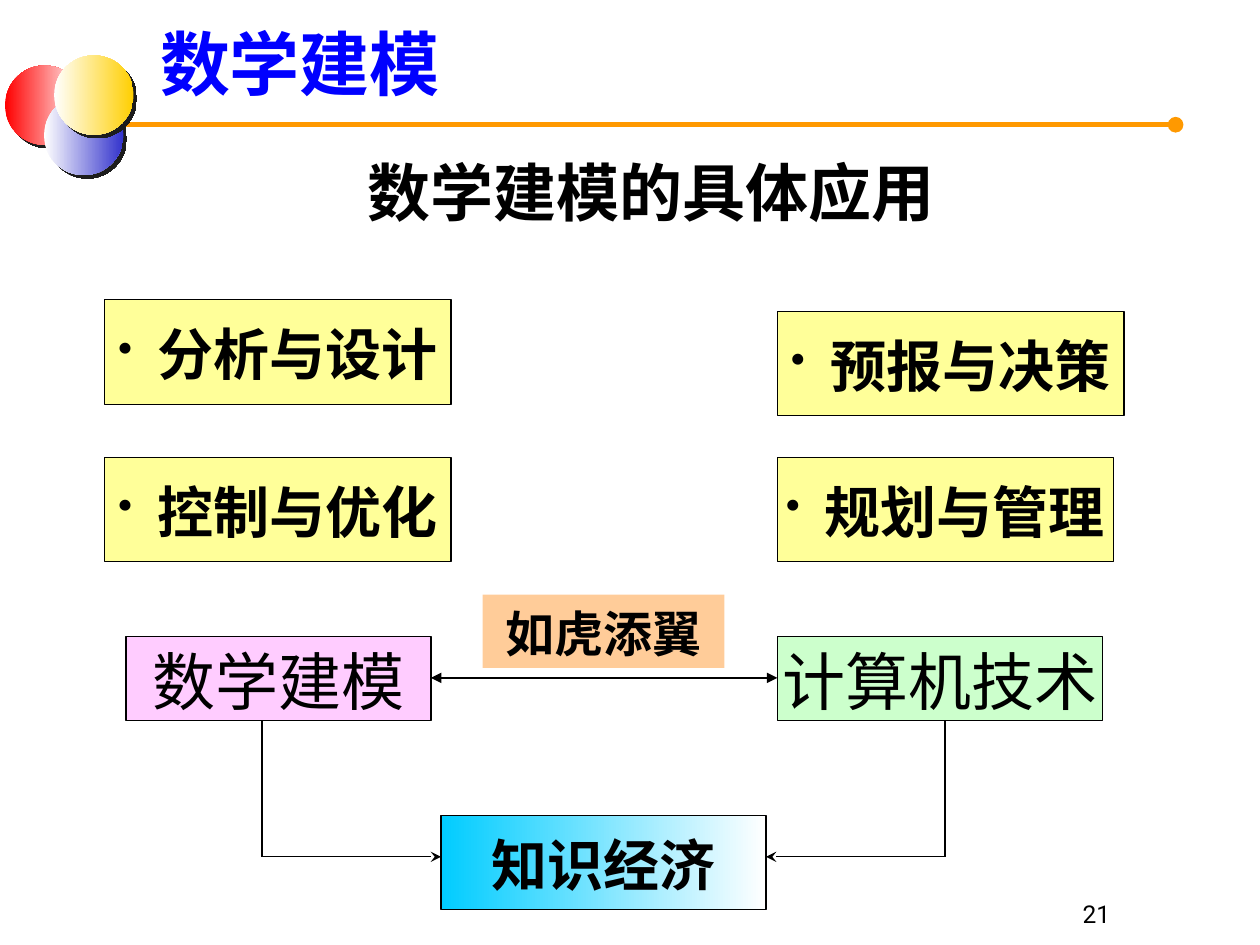
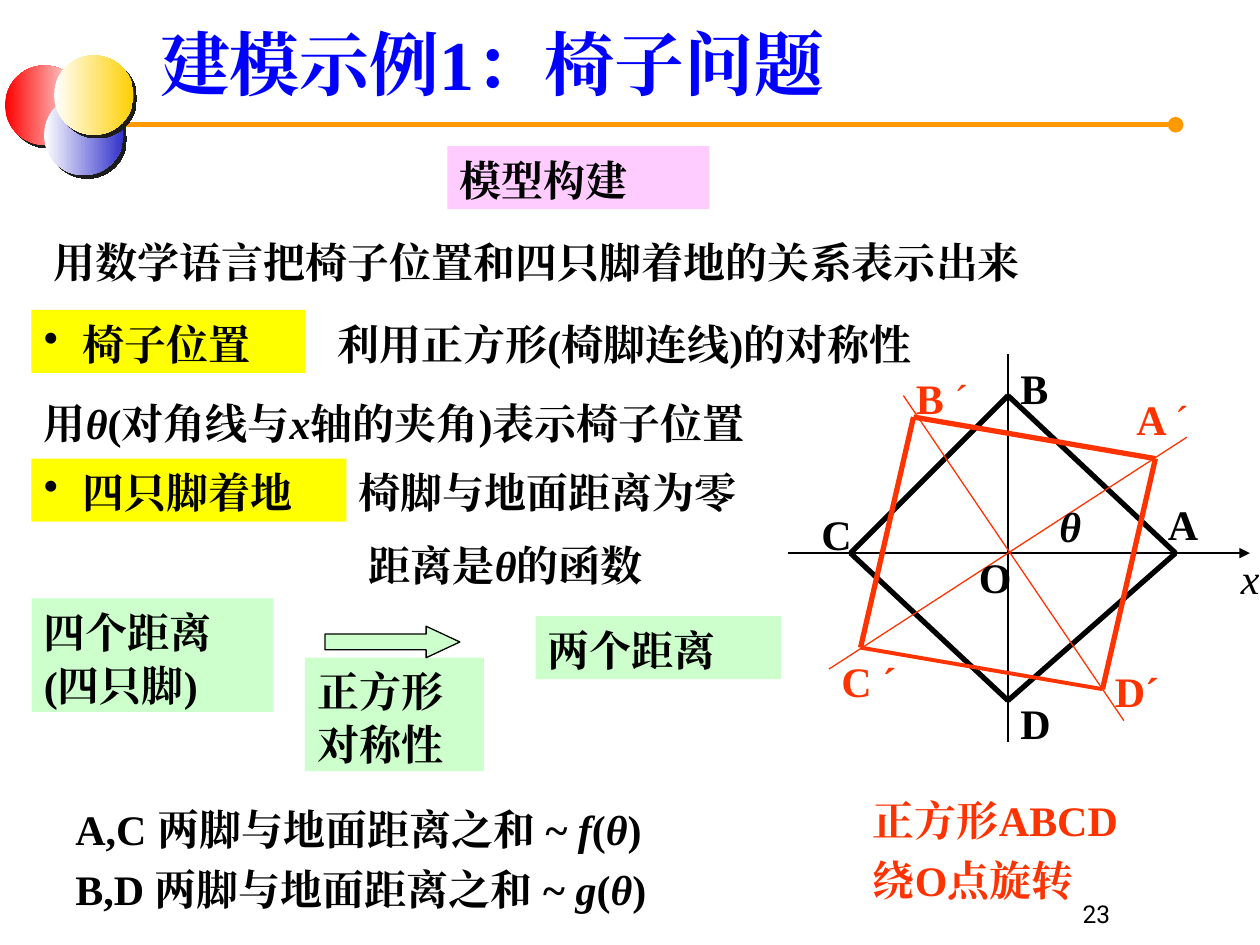
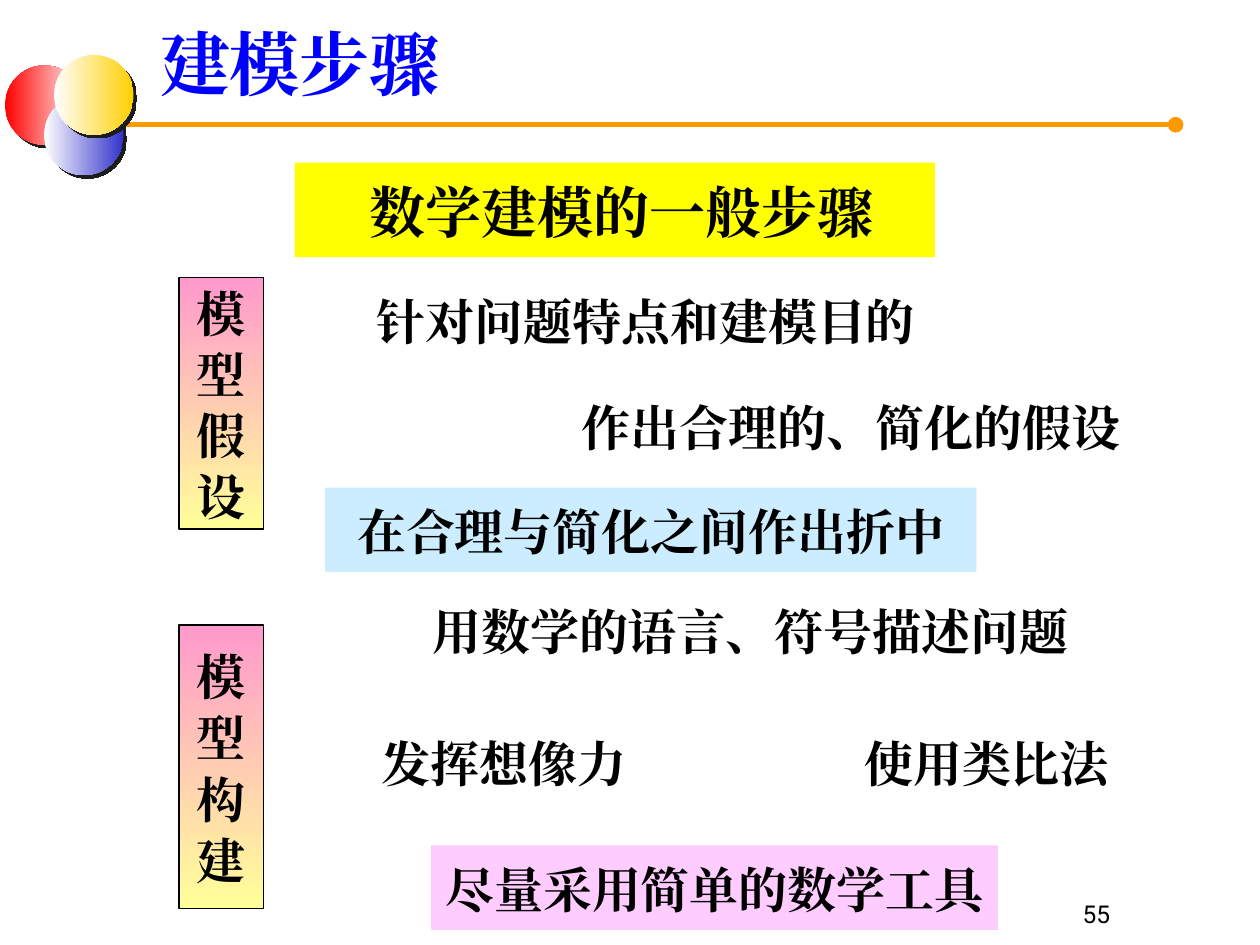
from lxml import etree
from pptx import Presentation
from pptx.dml.color import RGBColor
from pptx.enum.shapes import MSO_CONNECTOR, MSO_SHAPE
from pptx.enum.text import MSO_ANCHOR, MSO_AUTO_SIZE, PP_ALIGN
from pptx.oxml.ns import qn
from pptx.util import Emu, Pt

SCALE = 9144
RECT, OVAL, ARROW = MSO_SHAPE.RECTANGLE, MSO_SHAPE.OVAL, MSO_SHAPE.RIGHT_ARROW
STRAIGHT = MSO_CONNECTOR.STRAIGHT
LEFT, MID, RIGHT = PP_ALIGN.LEFT, PP_ALIGN.CENTER, PP_ALIGN.RIGHT
ANCHOR = {LEFT: MSO_ANCHOR.TOP, MID: MSO_ANCHOR.MIDDLE, RIGHT: MSO_ANCHOR.BOTTOM}
FIXED = MSO_AUTO_SIZE.NONE

SERIF, SANS, COMIC, ROBOTO = "Times New Roman", "Noto Sans CJK SC", "Comic Neue", "Roboto"
BLACK, WHITE, BLUE, ORANGE, RED = "000000", "FFFFFF", "0000FF", "FF9900", "FF3300"
YELLOW, CREAM, PINK, GREEN = "FFFF00", "FFFF99", "FFCCFF", "CCFFCC"
PEACH, SKY = "FFCC99", "CCECFF"
BALLS = [(4, 52, ("FF0000", WHITE, 0)), (35, 76, (WHITE, "3333CC", 0)),
         (43, 44, (WHITE, "FFCF01", 0))]


def rgb(code):
    """Turn a hex string into a colour."""
    return RGBColor.from_string(code)


def px(*values):
    """Turn px lengths into EMU."""
    return [Emu(value * SCALE) for value in values]


def sub(parent, tag, **attrs):
    """Append one XML element."""
    return etree.SubElement(parent, qn(tag), attrs)


class Deck:
    """Holds the style and the current slide."""

    def __init__(self):
        """Open a blank 4:3 deck."""
        self.prs = Presentation()
        self.prs.slide_width, self.prs.slide_height = px(1000, 750)
        self.style = {"name": SERIF, "size": Pt(24), "bold": True}

    def page(self, title, number, face=SERIF, **style):
        """Add a slide with its title, rule, balls and number."""
        self.slide = self.prs.slides.add_slide(self.prs.slide_layouts[5])
        self.shapes = self.slide.shapes
        self.style.update(style)
        head = self.shapes.title
        head.left, head.top, head.width, head.height = px(117, 9, 861, 66)
        self.paint(head, WHITE)
        self.label(head, [title], BLUE, LEFT, name=face, size=Pt(40))
        self.line(51, 99, 933, 99, ORANGE, 3, "oval", "oval")
        for x, y, fill in BALLS:
            ball = self.shape(OVAL, x, y, 63, 63, fill)
            shade = sub(ball.element.spPr.find(qn("a:effectLst")), "a:outerShdw",
                        blurRad="0", dist="35560", dir="2700000")
            sub(shade, "a:srgbClr", val="1C1C1C")
        self.box(683, 692, 208, 50, number, align=RIGHT,
                 name=ROBOTO, size=Pt(14), bold=False)

    def paint(self, shape, fill, edge=False):
        """Set a plain or gradient fill and the outline."""
        if isinstance(fill, tuple):
            *ends, angle = fill
            shape.fill.gradient()
            shape.fill.gradient_angle = -angle % 360
            for stop, code in zip(shape.fill.gradient_stops, ends):
                stop.color.rgb = rgb(code)
        else:
            shape.fill.solid()
            shape.fill.fore_color.rgb = rgb(fill)
        if edge:
            shape.line.color.rgb = rgb(BLACK)
            shape.line.width = Pt(0.75)
        else:
            shape.line.fill.background()

    def shape(self, kind, x, y, w, h, fill, edge=False):
        """Add a painted preset shape."""
        shape = self.shapes.add_shape(kind, *px(x, y, w, h))
        shape.shadow.inherit = False
        self.paint(shape, fill, edge)
        return shape

    def label(self, shape, paras, color, align, bullet=False, lead=1.04, gap=0, **style):
        """Fill a shape with paragraphs; stars enclose italics."""
        frame = shape.text_frame
        layout = {"auto_size": FIXED, "word_wrap": align != MID,
                  "vertical_anchor": ANCHOR[align]}
        for key, value in layout.items():
            setattr(frame, key, value)
        for i, text in enumerate(paras):
            para = frame.add_paragraph() if i else frame.paragraphs[0]
            form = {"alignment": align, "line_spacing": lead, "space_before": Pt(gap)}
            for key, value in form.items():
                setattr(para, key, value)
            if bullet:
                props = para._p.get_or_add_pPr()
                props.set("marL", str(31 * SCALE))
                props.set("indent", str(-31 * SCALE))
                sub(props, "a:buSzPct", val=str(bullet * 1000))
                sub(props, "a:buChar", char="•")
            if isinstance(text, str):
                text = [(part, {"italic": n % 2 == 1})
                        for n, part in enumerate(text.split("*")) if part]
            for part, extra in text:
                run = para.add_run()
                run.text = part
                run.font.color.rgb = rgb(color)
                font = {**self.style, **style, **extra}
                for key, value in font.items():
                    setattr(run.font, key, value)
                sub(run._r.get_or_add_rPr(), "a:ea", typeface=font["name"])

    def box(self, x, y, w, h, *paras, fill=None, edge=False, color=BLACK,
            align=LEFT, **style):
        """Add text, in a painted box if a fill is given."""
        if fill:
            box = self.shape(RECT, x, y, w, h, fill, edge)
        else:
            box = self.shapes.add_textbox(*px(x, y, w, h))
        self.label(box, paras, color, align, **style)

    def line(self, x1, y1, x2, y2, color=BLACK, width=0.75, head=None, tail=None):
        """Add a straight line with optional ends."""
        link = self.shapes.add_connector(STRAIGHT, *px(x1, y1, x2, y2))
        link.line.color.rgb = rgb(color)
        link.line.width = Pt(width)
        props = link.element.spPr
        for tag, kind in (("a:headEnd", head), ("a:tailEnd", tail)):
            if kind:
                sub(props.find(qn("a:ln")), tag, type=kind)
        sub(props, "a:effectLst")

    def ring(self, points, color, widths):
        """Join points into a closed outline."""
        for start, end, width in zip(points, points[1:] + points[:1], widths):
            self.line(*start, *end, color, width)


def uses(deck):
    """Build the slide on where modelling is used."""
    deck.page("数学建模", "21", COMIC, name=SANS, size=Pt(32))
    deck.box(192, 105, 650, 92, "数学建模的具体应用", align=MID, size=Pt(36))
    for x, y, w, text in [(83, 238, 275, "分析与设计"), (617, 247, 275, "预报与决策"),
                          (83, 363, 275, "控制与优化"), (617, 363, 267, "规划与管理")]:
        deck.box(x, y, w, 83, text, fill=CREAM, edge=True, align=MID, bullet=75)
    for x, w, text, fill in [(100, 242, "数学建模", PINK), (617, 258, "计算机技术", GREEN)]:
        deck.box(x, 505, w, 67, text, fill=fill, edge=True, align=MID,
                 size=Pt(36), bold=False)
    deck.box(350, 647, 258, 75, "知识经济", fill=("00CCFF", WHITE, 0), edge=True, align=MID)
    for x, end in [(208, 350), (750, 608)]:
        deck.line(x, 572, x, 680)
        deck.line(x, 680, end, 680, tail="stealth")
    deck.line(342, 538, 617, 538, head="triangle", tail="triangle")
    deck.box(383, 472, 192, 58, "如虎添翼", fill=PEACH, align=MID, size=Pt(28))


def chair(deck):
    """Build the slide on the chair problem."""
    deck.page("建模示例1：椅子问题", "23", name=SERIF, size=Pt(24))
    for x, y, w, h, text, fill in [
            (355, 116, 208, 50, "模型构建", PINK),
            (33, 181, 925, 50, "用数学语言把椅子位置和四只脚着地的关系表示出来", None),
            (258, 246, 558, 50, "利用正方形(椅脚连线)的对称性", None),
            (25, 309, 675, 50, "用*θ*(对角线与*x*轴的夹角)表示椅子位置", None),
            (275, 364, 383, 50, "椅脚与地面距离为零", None),
            (283, 422, 283, 50, "距离是*θ*的函数", None),
            (25, 475, 192, 90, "四个距离(四只脚)", GREEN),
            (425, 489, 195, 50, "两个距离", GREEN),
            (242, 522, 142, 90, "正方形对称性", GREEN),
            (50, 631, 575, 50, "A,C 两脚与地面距离之和 ~ *f*(*θ*)", None),
            (50, 679, 575, 50, "B,D 两脚与地面距离之和 ~ *g*(*θ*)", None)]:
        deck.box(x, y, w, h, text, fill=fill)
    for y, w, text in [(246, 217, "椅子位置"), (364, 250, "四只脚着地")]:
        deck.box(25, y, w, 50, text, fill=YELLOW, bullet=100)
    arrow = deck.shape(ARROW, 258, 497, 107, 25, GREEN, True)
    arrow.adjustments[1] = 1.07

    deck.line(625, 439, 992, 439, tail="triangle")
    deck.line(800, 281, 800, 589)
    deck.ring([(800, 314), (933, 439), (800, 556), (675, 439)], BLACK, [3] * 4)
    deck.line(658, 531, 942, 347, RED)
    deck.line(717, 314, 892, 572, RED)
    deck.ring([(725, 331), (917, 364), (875, 547), (683, 514)], RED, [3, 3, 2.25, 3])
    for x, y, text in [(800, 281, "B"), (917, 389, "A"), (800, 547, "D"),
                       (642, 397, "C"), (767, 431, "O"), (831, 391, "*θ*")]:
        deck.box(x, y, 50, 50, text)
    deck.box(975, 432, 25, 50, "*x*", bold=False)
    prime = ("´", {"bold": False})
    for x, y, w, text in [(875, 522, 83, "D´"), (658, 514, 108, "C ´"),
                          (717, 289, 92, [("B ", {}), prime]),
                          (892, 306, 108, [("A ", {}), prime])]:
        deck.box(x, y, w, 50, text, color=RED)
    deck.box(683, 622, 250, 102, "正方形ABCD", "绕O点旋转", color=RED, lead=1.1, gap=2.4)


def steps(deck):
    """Build the slide on the steps of modelling."""
    deck.page("建模步骤", "55", name=SERIF, size=Pt(28))
    for y, h, text in [(220, 200, "模型假设"), (496, 225, "模型构建")]:
        deck.box(142, y, 67, h, *text, fill=("FF99CC", CREAM, 90), edge=True, align=MID)
    for x, y, w, h, text, fill in [
            (275, 220, 475, 67, "针对问题特点和建模目的", None),
            (417, 304, 517, 67, "作出合理的、简化的假设", None),
            (258, 387, 517, 67, "在合理与简化之间作出折中", SKY),
            (333, 462, 525, 75, "用数学的语言、符号描述问题", None),
            (275, 571, 250, 67, "发挥想像力", None),
            (658, 571, 250, 67, "使用类比法", None),
            (342, 671, 450, 67, "尽量采用简单的数学工具", PINK)]:
        deck.box(x, y, w, h, text, fill=fill, align=MID)
    deck.box(234, 129, 508, 75, " 数学建模的一般步骤", fill=YELLOW, align=MID, size=Pt(32))


def main():
    """Build and save the deck."""
    deck = Deck()
    for build in (uses, chair, steps):
        build(deck)
    deck.prs.save("out.pptx")


if __name__ == "__main__":
    main()
